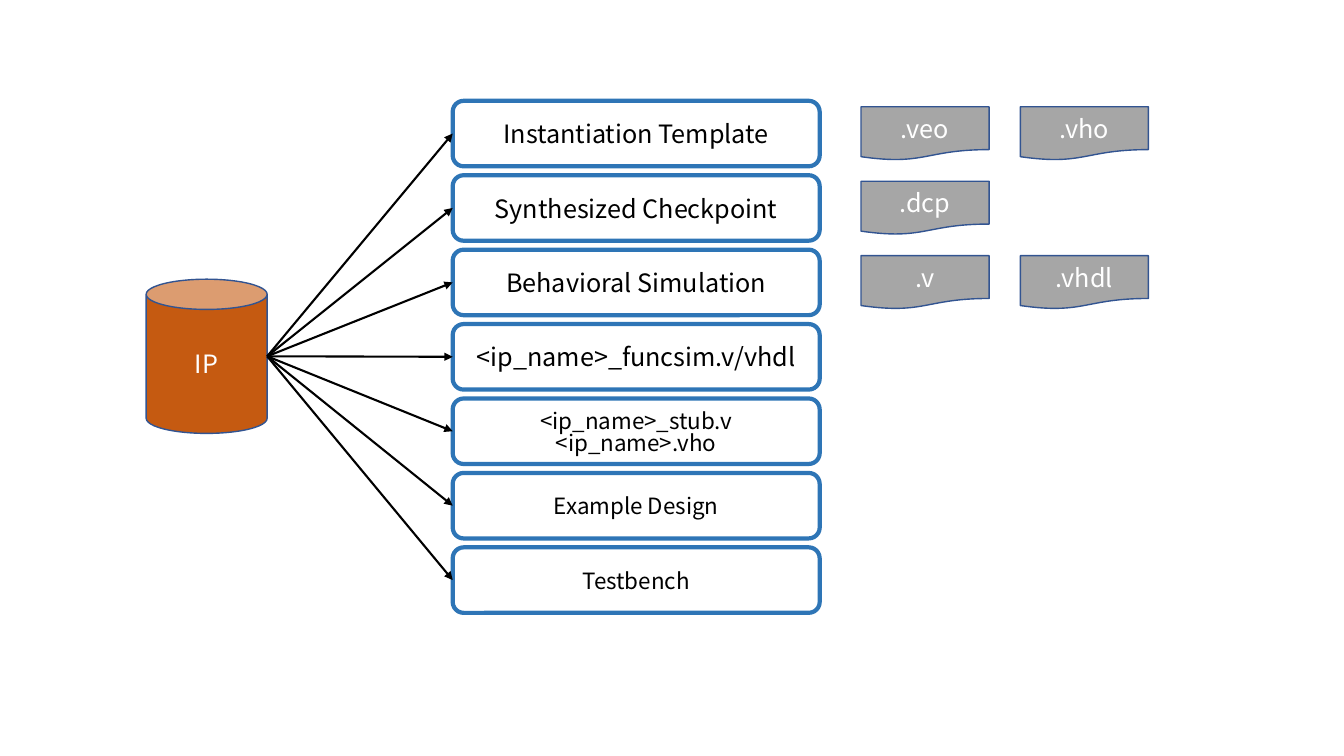
from lxml.etree import SubElement
from pptx import Presentation
from pptx.dml.color import RGBColor
from pptx.enum.shapes import MSO_CONNECTOR, MSO_SHAPE
from pptx.enum.text import MSO_ANCHOR, PP_ALIGN
from pptx.oxml.ns import qn
from pptx.util import Inches, Pt

FONT = "Noto Sans CJK SC"
ORANGE = RGBColor(0xC5, 0x5A, 0x11)
NAVY = RGBColor(0x32, 0x54, 0x91)
BLUE = RGBColor(0x2E, 0x75, 0xB6)
GRAY = RGBColor(0xA6, 0xA6, 0xA6)
BLACK = RGBColor(0, 0, 0)
WHITE = RGBColor(255, 255, 255)

ROW_TOP, ROW_PITCH = 1, 4.43 / 6
OUTPUT_LEFT, OUTPUT_WIDTH, OUTPUT_HEIGHT = 4.49, 3.64, 0.65
FILE_LEFT, FILE_PITCH, FILE_WIDTH, FILE_HEIGHT = 8.54, 1.58, 1.27, 0.53
CORE_LEFT, CORE_TOP, CORE_WIDTH, CORE_HEIGHT = 1.45, 2.77, 1.2, 1.53

OUTPUTS = [
    ("Instantiation Template", 18, [".veo", ".vho"]),
    ("Synthesized Checkpoint", 18, [".dcp"]),
    ("Behavioral Simulation", 18, [".v", ".vhdl"]),
    ("<ip_name>_funcsim.v/vhdl", 18, []),
    ("<ip_name>_stub.v\n<ip_name>.vho", 16, []),
    ("Example Design", 16, []),
    ("Testbench", 16, []),
]


def add_block(page, kind, frame, text, fill, line, line_width, color, size=18):
    """Add a filled, outlined shape with centred text."""
    block = page.shapes.add_shape(kind, *[Inches(length) for length in frame])
    block.shadow.inherit = False
    block.fill.solid()
    block.fill.fore_color.rgb = fill
    block.line.color.rgb = line
    block.line.width = Pt(line_width)
    block.text_frame.text = text
    block.text_frame.word_wrap = True
    block.text_frame.vertical_anchor = MSO_ANCHOR.MIDDLE
    for para in block.text_frame.paragraphs:
        para.alignment = PP_ALIGN.CENTER
        for span in para.runs:
            span.font.name = FONT
            span.font.size = Pt(size)
            span.font.color.rgb = color
    for para in block.text_frame.paragraphs[1:]:
        para.line_spacing = 0.83
    return block


def add_arrow(page, core, output):
    """Draw an arrow from the right of the core to the left of an output."""
    start_x, start_y = core.left + core.width, core.top + core.height // 2
    arrow = page.shapes.add_connector(
        MSO_CONNECTOR.STRAIGHT, start_x, start_y, output.left, output.top
    )
    arrow.end_connect(output, 1)
    arrow.line.color.rgb = BLACK
    arrow.line.width = Pt(1.5)
    SubElement(arrow.line._get_or_add_ln(), qn("a:tailEnd"), type="triangle")
    SubElement(arrow._element.spPr, qn("a:effectLst"))


def add_output(page, row, label, size):
    """Add the rounded output box of a row."""
    frame = (OUTPUT_LEFT, ROW_TOP + row * ROW_PITCH, OUTPUT_WIDTH, OUTPUT_HEIGHT)
    return add_block(
        page, MSO_SHAPE.ROUNDED_RECTANGLE, frame, label, WHITE, BLUE, 3, BLACK, size
    )


def add_file(page, row, column, extension):
    """Add a document shape centred on the height of its row."""
    top = ROW_TOP + row * ROW_PITCH + (OUTPUT_HEIGHT - FILE_HEIGHT) / 2
    frame = (FILE_LEFT + column * FILE_PITCH, top, FILE_WIDTH, FILE_HEIGHT)
    add_block(
        page, MSO_SHAPE.FLOWCHART_DOCUMENT, frame, extension, GRAY, NAVY, 1, WHITE
    )


def main():
    """Build the slide of generated core outputs."""
    deck = Presentation()
    deck.slide_width, deck.slide_height = Inches(13.33), Inches(7.5)
    page = deck.slides.add_slide(deck.slide_layouts[6])
    core_frame = (CORE_LEFT, CORE_TOP, CORE_WIDTH, CORE_HEIGHT)
    core = add_block(page, MSO_SHAPE.CAN, core_frame, "IP", ORANGE, NAVY, 1, WHITE)
    for row, (label, size, extensions) in enumerate(OUTPUTS):
        output = add_output(page, row, label, size)
        add_arrow(page, core, output)
        for column, extension in enumerate(extensions):
            add_file(page, row, column, extension)
    deck.save("out.pptx")


if __name__ == "__main__":
    main()
